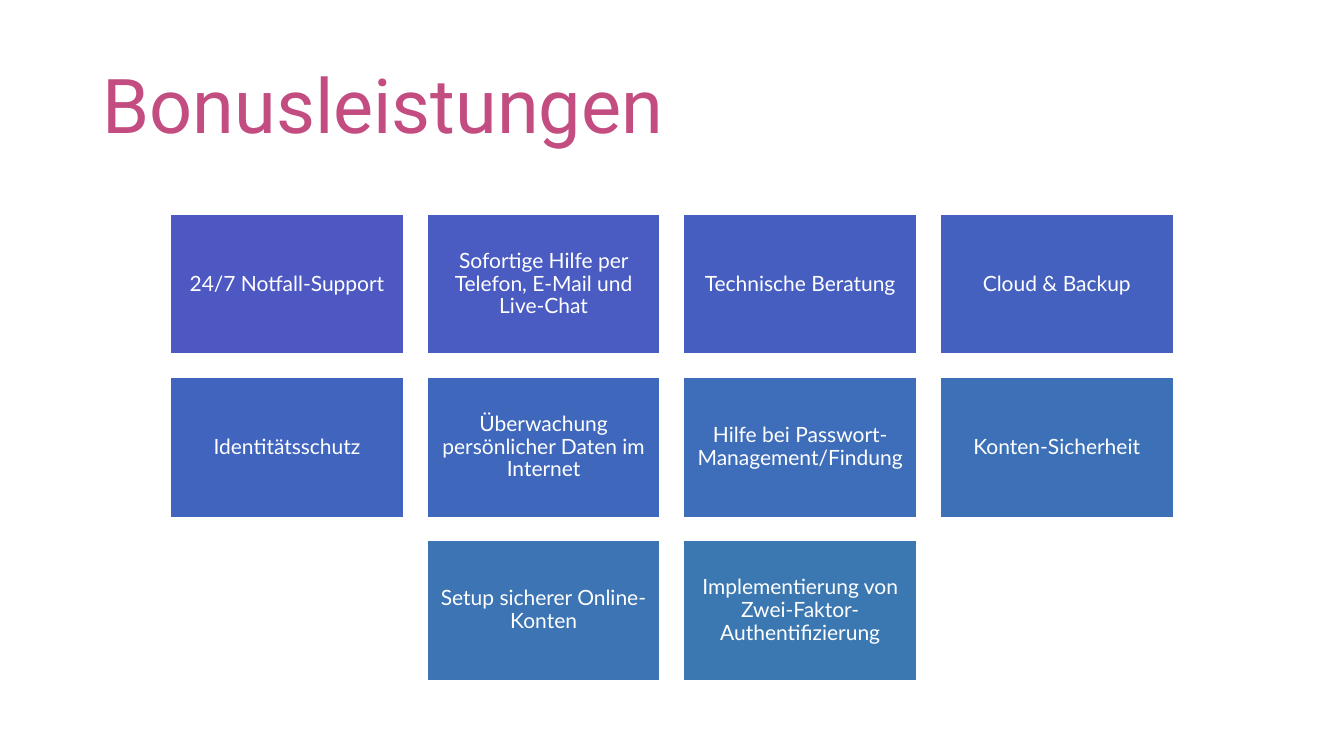
from dataclasses import dataclass

import pptx
import pptx.dml.color
import pptx.enum.shapes
import pptx.enum.text
import pptx.util

Pt = pptx.util.Pt
RGB = pptx.dml.color.RGBColor.from_string
Align = pptx.enum.text.PP_ALIGN
Anchor = pptx.enum.text.MSO_ANCHOR


@dataclass(frozen=True)
class Theme:
    heading_font: str = "Roboto"
    body_font: str = "Lato"
    heading_size: float = 54
    body_size: float = 15
    heading_color: str = "C34D80"
    white: str = "FFFFFF"


@dataclass(frozen=True)
class Box:
    left: float
    top: float
    width: float
    height: float

    def lengths(self):
        return Pt(self.left), Pt(self.top), Pt(self.width), Pt(self.height)


THEME = Theme()
COLUMNS = 4
GAP = 16.7

# Each service with its step from violet to blue
SERVICES = [
    ("24/7 Notfall-Support", "4D58C3"),
    ("Sofortige Hilfe per Telefon, E-Mail und Live-Chat", "4A5BC2"),
    ("Technische Beratung", "475EC1"),
    ("Cloud & Backup", "4461C0"),
    ("Identitätsschutz", "4164BF"),
    ("Überwachung persönlicher Daten im Internet", "3F68BD"),
    ("Hilfe bei Passwort-Management/Findung", "3E6DBA"),
    ("Konten-Sicherheit", "3D71B7"),
    ("Setup sicherer Online-Konten", "3C74B4"),
    ("Implementierung von Zwei-Faktor-Authentifizierung", "3B78B1"),
]


def write(frame, text, font, size, color, align, anchor):
    frame.word_wrap = True
    frame.auto_size = pptx.enum.text.MSO_AUTO_SIZE.NONE
    frame.vertical_anchor = anchor
    paragraph = frame.paragraphs[0]
    paragraph.alignment = align
    paragraph.line_spacing = 0.9
    run = paragraph.add_run()
    run.text = text
    run.font.name = font
    run.font.size = Pt(size)
    run.font.color.rgb = RGB(color)


def place_heading(slide, box, text):
    heading = slide.shapes.title
    heading.left, heading.top, heading.width, heading.height = box.lengths()
    write(heading.text_frame, text, THEME.heading_font, THEME.heading_size,
          THEME.heading_color, Align.LEFT, Anchor.BOTTOM)


def place_service(slide, box, text, fill):
    tile = slide.shapes.add_shape(
        pptx.enum.shapes.MSO_SHAPE.RECTANGLE, *box.lengths())
    tile.shadow.inherit = False
    tile.fill.solid()
    tile.fill.fore_color.rgb = RGB(fill)
    tile.line.color.rgb = RGB(THEME.white)
    tile.line.width = Pt(1)
    frame = tile.text_frame
    frame.margin_left = frame.margin_right = Pt(4.5)
    frame.margin_top = frame.margin_bottom = Pt(4.5)
    write(frame, text, THEME.body_font, THEME.body_size,
          THEME.white, Align.CENTER, Anchor.MIDDLE)


def place_service_grid(slide, box, services):
    rows = [services[start:start + COLUMNS]
            for start in range(0, len(services), COLUMNS)]
    width = (box.width - (COLUMNS - 1) * GAP) / COLUMNS
    height = (box.height - (len(rows) - 1) * GAP) / len(rows)
    for row_index, row in enumerate(rows):
        # A short row is centred in the grid
        indent = (COLUMNS - len(row)) * (width + GAP) / 2
        for column, (text, fill) in enumerate(row):
            tile_box = Box(box.left + indent + column * (width + GAP),
                           box.top + row_index * (height + GAP),
                           width, height)
            place_service(slide, tile_box, text, fill)


def main():
    deck = pptx.Presentation()
    deck.slide_width, deck.slide_height = Pt(960), Pt(540)
    slide = deck.slides.add_slide(deck.slide_layouts.get_by_name("Title Only"))
    place_heading(slide, Box(66, 28.75, 840, 82), "Bonusleistungen")
    place_service_grid(slide, Box(121.8, 153.2, 716.4, 332.8), SERVICES)
    deck.save("out.pptx")


if __name__ == "__main__":
    main()
